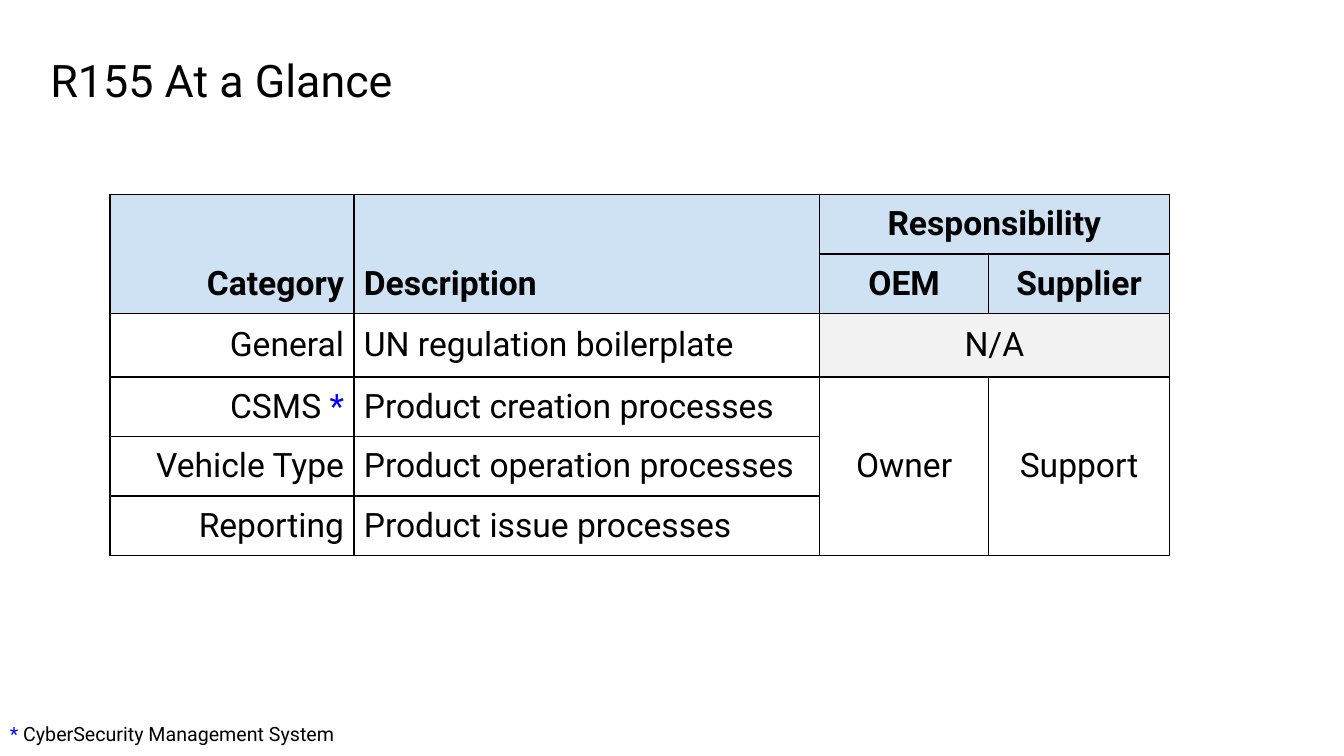
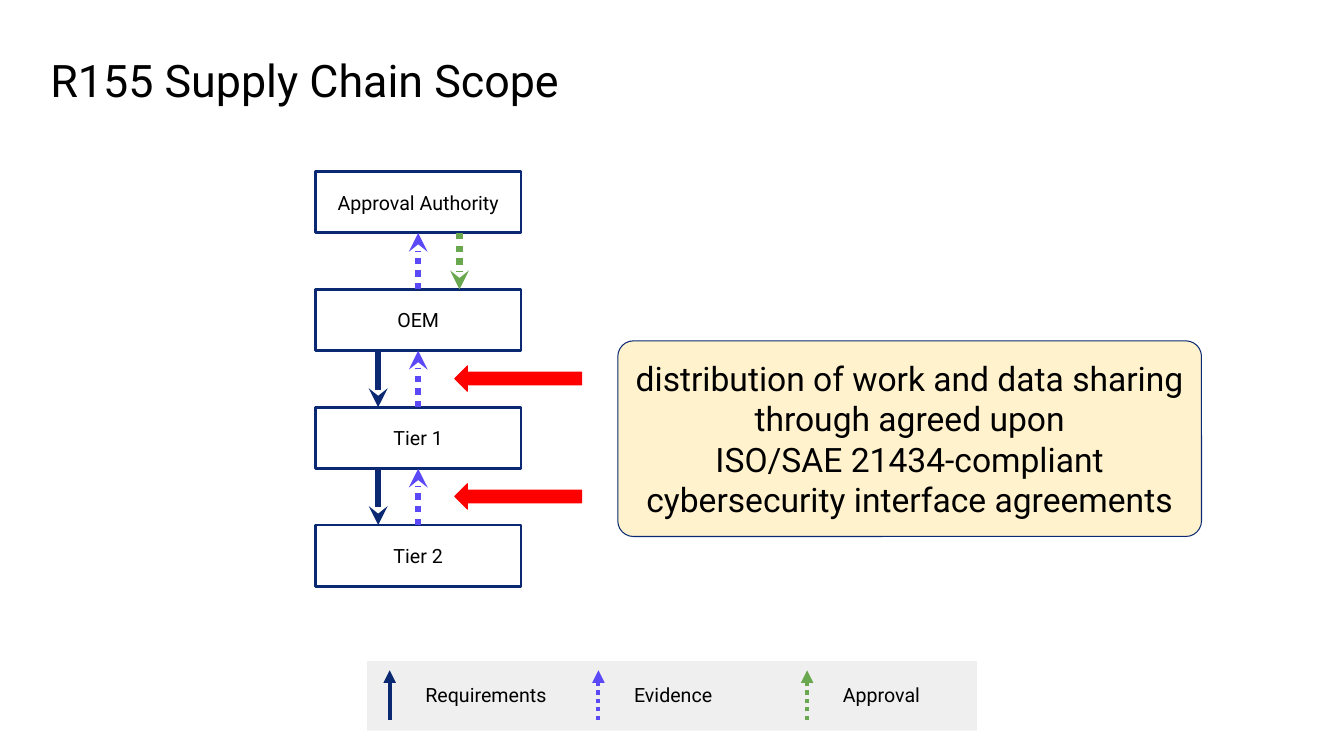
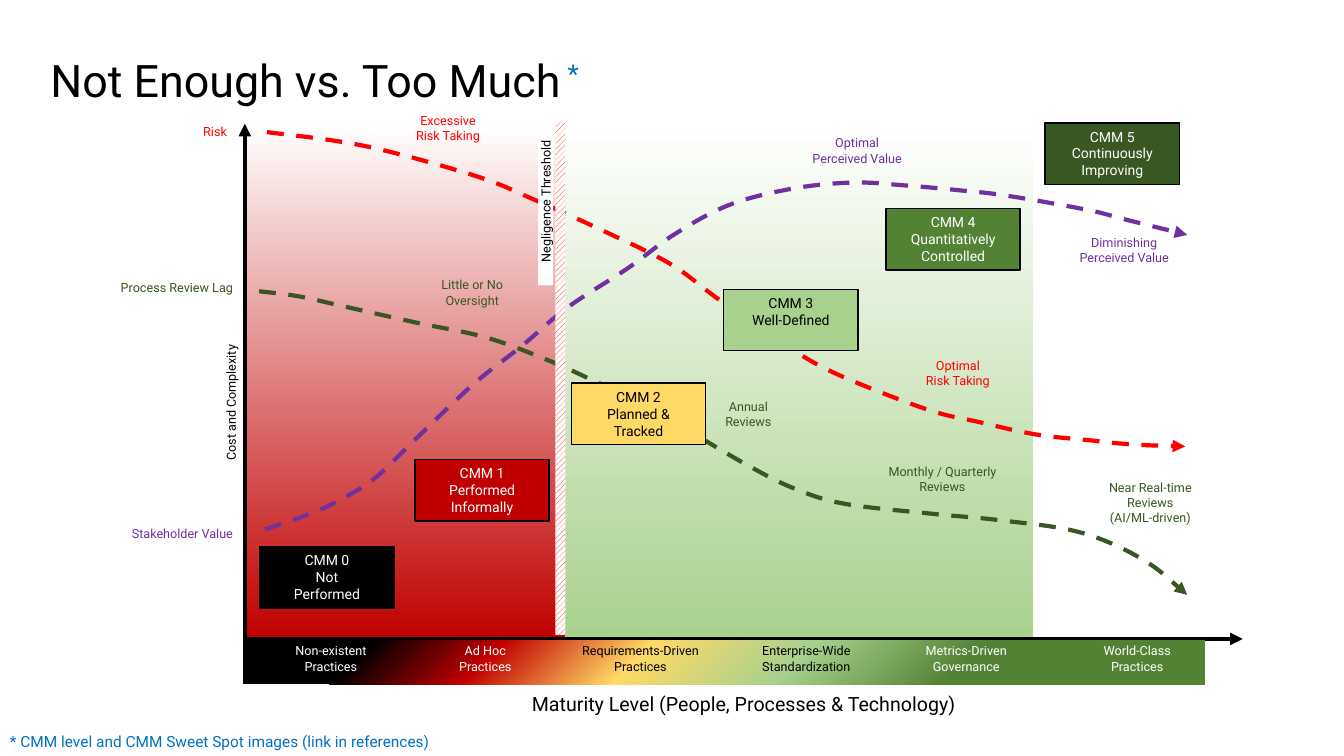
from lxml.etree import SubElement
from pptx import Presentation
from pptx.dml.color import RGBColor
from pptx.enum.dml import MSO_LINE as Dash, MSO_PATTERN as Pattern
from pptx.enum.shapes import MSO_CONNECTOR as Link, MSO_SHAPE as Kind
from pptx.enum.text import MSO_ANCHOR as Anchor, MSO_AUTO_SIZE as Fit, PP_ALIGN as Align
from pptx.oxml.ns import qn
from pptx.util import Cm, Pt

FONT = "Roboto"
HEX = {
    "black": "000000", "white": "FFFFFF", "star": "0000FF", "link": "0070C0",
    "head": "CFE2F3", "grey": "F2F2F2", "key": "EFEFEF",
    "navy": "0A2972", "violet": "5B48F6", "leaf": "6AA84F", "cream": "FFF2CC",
    "red": "FF0000", "crimson": "C00000", "gold": "FFD966", "mint": "A9D18E",
    "green": "548235", "forest": "385723", "purple": "7030A0",
}


def rgb(name):
    return RGBColor.from_string(HEX[name])


def ink(run, size, color, bold=False):
    font = run.font
    font.name, font.size, font.bold = FONT, Pt(size), bold
    font.color.rgb = rgb(color)


def write(shape, text, size=9, color="black", align=Align.CENTER,
          anchor=Anchor.TOP, pad=(0.25, 0.13)):
    """Fill a shape with text; pad gives its side and its top insets."""
    frame = shape.text_frame
    frame.text = text
    frame.word_wrap, frame.auto_size = True, Fit.NONE
    frame.vertical_anchor = anchor
    frame.margin_left = frame.margin_right = Cm(pad[0])
    frame.margin_top = frame.margin_bottom = Cm(pad[1])
    for par in frame.paragraphs:
        par.alignment = align
        for run in par.runs:
            ink(run, size, color)
    return frame


def label(slide, text, at, **style):
    area = slide.shapes.add_textbox(*map(Cm, at))
    write(area, text, **style)
    return area


def note(slide, text, mid, top, color):
    """Small centred caption around the given middle."""
    label(slide, text, (mid - 2.25, top, 4.5, 1.02), color=color)


def stroke(shape, color, width, dash=None, tip=None):
    line = shape.line
    line.color.rgb, line.width = rgb(color), Pt(width)
    if dash:
        line.dash_style = dash
    if tip:
        SubElement(shape._element.spPr.find(qn("a:ln")), qn("a:tailEnd"), type=tip)


def block(slide, at, fill=None, line=None, width=1, kind=Kind.RECTANGLE):
    shape = slide.shapes.add_shape(kind, *map(Cm, at))
    shape.shadow.inherit = False
    if fill:
        shape.fill.solid()
        shape.fill.fore_color.rgb = rgb(fill)
    else:
        shape.fill.background()
    if line:
        stroke(shape, line, width)
    else:
        shape.line.fill.background()
    return shape


def blend(shape, stops, angle):
    """Gradient of (percent, colour) stops; angle runs anticlockwise."""
    shape.fill.gradient()
    shape.fill.gradient_angle = angle
    group = shape._element.spPr.find(".//" + qn("a:gsLst"))
    for stop in list(group):
        group.remove(stop)
    for place, color in stops:
        stop = SubElement(group, qn("a:gs"), pos=str(place * 1000))
        SubElement(stop, qn("a:srgbClr"), val=HEX[color])


def arrow(slide, start, end, color, width, dash=None, tip="triangle"):
    link = slide.shapes.add_connector(Link.STRAIGHT, *map(Cm, start + end))
    stroke(link, color, width, dash, tip)
    SubElement(link._element.spPr, qn("a:effectLst"))


def curve(slide, knots, color):
    """Dashed arrow that passes smoothly through all knots."""
    ends = [knots[0], *knots, knots[-1]]
    points = []
    for a, b, c, d in zip(ends, ends[1:], ends[2:], ends[3:]):
        points += [tuple(q + (r - p) / 6 for p, q, r in zip(a, b, c)),
                   tuple(r - (s - q) / 6 for q, r, s in zip(b, c, d)), c]
    pen = slide.shapes.build_freeform(*map(Cm, knots[0]))
    pen.add_line_segments([tuple(map(Cm, p)) for p in points], close=False)
    shape = pen.convert_to_shape()
    steps = list(shape._element.iter(qn("a:lnTo")))
    trace = steps[0].getparent()
    for i in range(0, len(steps), 3):
        bend = SubElement(trace, qn("a:cubicBezTo"))
        for step in steps[i:i + 3]:
            bend.append(step[0])
            trace.remove(step)
    shape.shadow.inherit = False
    shape.fill.background()
    stroke(shape, color, 3, Dash.DASH, "triangle")


def start(deck, text):
    """Add a slide with its title."""
    slide = deck.slides.add_slide(deck.slide_layouts[5])
    title = slide.shapes.title
    title.left, title.top, title.width, title.height = map(Cm, (1.27, 1.27, 31.32, 1.45))
    write(title, text, 32, align=Align.LEFT, anchor=Anchor.MIDDLE, pad=(0, 0))
    return slide


def frame_cell(cell):
    props = cell._tc.get_or_add_tcPr()
    for side in ("lnL", "lnR", "lnT", "lnB"):
        edge = SubElement(props, qn("a:" + side), w=str(Pt(1)))
        SubElement(SubElement(edge, qn("a:solidFill")), qn("a:srgbClr"), val=HEX["black"])


def set_cell(cell, text, row, col):
    cell.text = text
    cell.margin_left = cell.margin_right = Cm(0.25)
    cell.margin_top = cell.margin_bottom = Cm(0.25)
    head = row < 2
    if not head:
        cell.vertical_anchor = Anchor.MIDDLE
    elif col < 2:
        cell.vertical_anchor = Anchor.BOTTOM
    par = cell.text_frame.paragraphs[0]
    par.alignment = (Align.RIGHT, Align.LEFT, Align.CENTER, Align.CENTER)[col]
    for run in par.runs:
        ink(run, 24, "black", head)
    frame_cell(cell)
    fill = "head" if head else "grey" if (row, col) == (2, 2) else None
    if fill:
        cell.fill.solid()
        cell.fill.fore_color.rgb = rgb(fill)
    else:
        cell.fill.background()


def glance(deck):
    slide = start(deck, "R155 At a Glance")
    rows = [
        ("Category", "Description", "Responsibility", ""),
        ("", "", "OEM", "Supplier"),
        ("General", "UN regulation boilerplate", "N/A", ""),
        ("CSMS ", "Product creation processes", "Owner", "Support"),
        ("Vehicle Type", "Product operation processes", "", ""),
        ("Reporting", "Product issue processes", "", ""),
    ]
    table = slide.shapes.add_table(6, 4, *map(Cm, (2.77, 4.9, 26.7, 9.1))).table
    table.first_row = table.horz_banding = False
    for col, width in zip(table.columns, (6.15, 11.73, 4.27, 4.55)):
        col.width = Cm(width)
    for row, height in zip(table.rows, (1.5, 1.5, 1.6, 1.5, 1.5, 1.5)):
        row.height = Cm(height)
    for r, row in enumerate(rows):
        for c, text in enumerate(row):
            set_cell(table.cell(r, c), text, r, c)
    for first, last in [((0, 0), (1, 0)), ((0, 1), (1, 1)), ((0, 2), (0, 3)),
                        ((2, 2), (2, 3)), ((3, 2), (5, 2)), ((3, 3), (5, 3))]:
        table.cell(*first).merge(table.cell(*last))
    mark = table.cell(3, 0).text_frame.paragraphs[0].add_run()
    mark.text = "*"
    ink(mark, 24, "star")

    foot = label(slide, "*", (0, 17.93, 8.89, 1.12), size=14, color="star",
                 align=Align.LEFT, pad=(0.25, 0.25))
    rest = foot.text_frame.paragraphs[0].add_run()
    rest.text = " CyberSecurity Management System"
    ink(rest, 14, "black")


def scope(deck):
    slide = start(deck, "R155 Supply Chain Scope")
    top, tall, pitch = 4.32, 1.55, 2.97
    for i, name in enumerate(("Approval Authority", "OEM", "Tier 1", "Tier 2")):
        shape = block(slide, (7.95, top + i * pitch, 5.18, tall), line="navy", width=2)
        write(shape, name, 14, anchor=Anchor.MIDDLE)
    for i in range(3):
        high, low = top + tall + i * pitch, top + (i + 1) * pitch
        arrow(slide, (10.54, low), (10.54, high), "violet", 4.5, Dash.ROUND_DOT, "stealth")
        if i == 0:
            arrow(slide, (11.58, high), (11.58, low), "leaf", 4.5, Dash.ROUND_DOT, "stealth")
        else:
            arrow(slide, (9.53, high), (9.53, low), "navy", 4.5, tip="stealth")
            block(slide, (11.46, high + 0.38, 3.2, 0.64), "red", "red", 0.75, Kind.LEFT_ARROW)

    block(slide, (9.25, 16.66, 15.37, 1.75), "key")
    for i, (name, color, dash) in enumerate([("Requirements", "navy", None),
                                             ("Evidence", "violet", Dash.ROUND_DOT),
                                             ("Approval", "leaf", Dash.ROUND_DOT)]):
        x = 9.82 + i * 5.26
        arrow(slide, (x, 18.14), (x, 16.89), color, 3, dash)
        label(slide, name, (x + 0.65, 16.97, 3.63, 1.12), size=14,
              align=Align.LEFT, pad=(0.25, 0.25))

    shape = block(slide, (15.57, 8.59, 14.71, 4.93), "cream", "navy", 0.75,
                  Kind.ROUNDED_RECTANGLE)
    shape.adjustments[0] = 0.08
    write(shape, "distribution of work and data sharing through agreed upon\v"
          "ISO/SAE 21434-compliant\ncybersecurity interface agreements", 24,
          anchor=Anchor.MIDDLE, pad=(0.25, 0.25))


LAG = [(6.53, 7.34), (7.54, 7.47), (8.66, 7.72), (10.49, 8.13), (12.27, 8.51),
       (13.84, 9.09), (15.04, 9.63), (16.38, 10.24), (17.27, 10.8), (18.85, 11.73),
       (20.04, 12.32), (21.31, 12.7), (23.52, 12.95), (25.2, 13.11), (27.2, 13.41),
       (28.75, 14.07), (29.92, 14.99)]
RISK = [(6.73, 3.33), (9.19, 3.68), (11.94, 4.42), (13.39, 5), (15.21, 5.82),
        (16.89, 6.65), (18.08, 7.52), (19.63, 8.59), (21.03, 9.4), (23.34, 10.31),
        (24.69, 10.64), (26.11, 10.95), (27.51, 11.1), (28.52, 11.2), (29.87, 11.25)]
VALUE = [(6.68, 13.34), (7.67, 13), (8.43, 12.67), (9.42, 12.07), (10.49, 11.05),
         (11.91, 9.7), (13.16, 8.71), (14.3, 7.75), (15.82, 6.76), (17.02, 5.89),
         (18.39, 5.16), (19.99, 4.75), (21.51, 4.6), (22.78, 4.67), (24.23, 4.8),
         (25.37, 4.93), (27.36, 5.28), (28.4, 5.54), (29.92, 5.92)]
LEVELS = [
    ("CMM 0\nNot\nPerformed", 6.55, 13.77, "black", "white"),
    ("CMM 1\nPerformed\nInformally", 10.46, 11.58, "crimson", "white"),
    ("CMM 2\nPlanned & Tracked", 14.4, 9.65, "gold", "black"),
    ("CMM 3\nWell-Defined", 18.24, 7.29, "mint", "black"),
    ("CMM 4\nQuantitatively\nControlled", 22.33, 5.26, "green", "white"),
    ("CMM 5\nContinuously\nImproving", 26.34, 3.1, "forest", "white"),
]
STAGES = [
    ("Non-existent\nPractices", 8.34, "white"),
    ("Ad Hoc\nPractices", 12.23, "white"),
    ("Requirements-Driven\nPractices", 16.14, "black"),
    ("Enterprise-Wide\nStandardization", 20.32, "black"),
    ("Metrics-Driven\nGovernance", 24.35, "white"),
    ("World-Class\nPractices", 28.66, "white"),
]
NOTES = [
    ("Excessive\nRisk Taking", 11.29, 2.72, "red"),
    ("Optimal\nRisk Taking", 24.14, 8.89, "red"),
    ("Little or No\nOversight", 11.9, 6.86, "forest"),
    ("Annual\nReviews", 18.86, 9.93, "forest"),
    ("Monthly / Quarterly\nReviews", 23.75, 11.56, "forest"),
    ("Near Real-time\nReviews\n(AI/ML-driven)", 28.99, 11.96, "forest"),
    ("Optimal\nPerceived Value", 21.6, 3.28, "purple"),
    ("Diminishing\nPerceived Value", 28.33, 5.79, "purple"),
]


def balance(deck):
    slide = start(deck, "Not Enough vs. Too Much")
    mark = slide.shapes.title.text_frame.paragraphs[0].add_run()
    mark.text = " *"
    ink(mark, 32, "link")
    mark.font._element.set("baseline", "30000")
    label(slide, "* CMM level and CMM Sweet Spot images (link in references)",
          (0, 18.31, 16.92, 0.74), size=11, color="link", align=Align.LEFT)

    for at, color in [((6.2, 3.12, 8.08, 12.98), "crimson"),
                      ((14.25, 3.1, 11.79, 12.98), "mint")]:
        blend(block(slide, at), [(0, "white"), (100, color)], 270)
    for knots, color in ((LAG, "forest"), (RISK, "red"), (VALUE, "purple")):
        curve(slide, knots, color)
    for text, x, y, fill, color in LEVELS:
        shape = block(slide, (x, y, 3.38, 1.55), fill, "black")
        spot = Anchor.MIDDLE if fill == "gold" else Anchor.TOP
        write(shape, text, 10, color, anchor=spot)

    arrow(slide, (6.17, 16.1), (31.32, 16.1), "black", 3)
    arrow(slide, (6.17, 16.13), (6.17, 3.12), "black", 3)
    label(slide, "Maturity Level (People, Processes & Technology)",
          (6.17, 17.3, 25.15, 0.86), size=14)
    blend(block(slide, (6.12, 16.13, 24.23, 1.12)),
          [(0, "black"), (13, "black"), (26, "crimson"), (41, "gold"),
           (57, "mint"), (74, "green"), (100, "green")], 315)
    for text, mid, color in STAGES:
        note(slide, text, mid, 16.08, color)

    fill = block(slide, (14, 3.07, 0.25, 12.93)).fill
    fill.patterned()
    fill.pattern = Pattern.WIDE_UPWARD_DIAGONAL
    fill.fore_color.rgb, fill.back_color.rgb = rgb("red"), rgb("white")
    for text, mid, top, color in NOTES:
        note(slide, text, mid, top, color)
    limit = block(slide, (11.63, 4.88, 4.24, 0.38), "white")
    write(limit, "Negligence Threshold", pad=(0, 0))
    cost = label(slide, "Cost and Complexity", (3.76, 9.83, 4.11, 0.64))
    limit.rotation = cost.rotation = 270
    for text, x, y, color in [("Risk", 1.97, 3, "red"),
                              ("Process Review Lag", 2.12, 6.93, "forest"),
                              ("Stakeholder Value", 2.12, 13.13, "purple")]:
        label(slide, text, (x, y, 4, 0.64), color=color, align=Align.RIGHT)


def main():
    deck = Presentation()
    deck.slide_width, deck.slide_height = Cm(33.87), Cm(19.05)
    glance(deck)
    scope(deck)
    balance(deck)
    deck.save("out.pptx")


if __name__ == "__main__":
    main()
